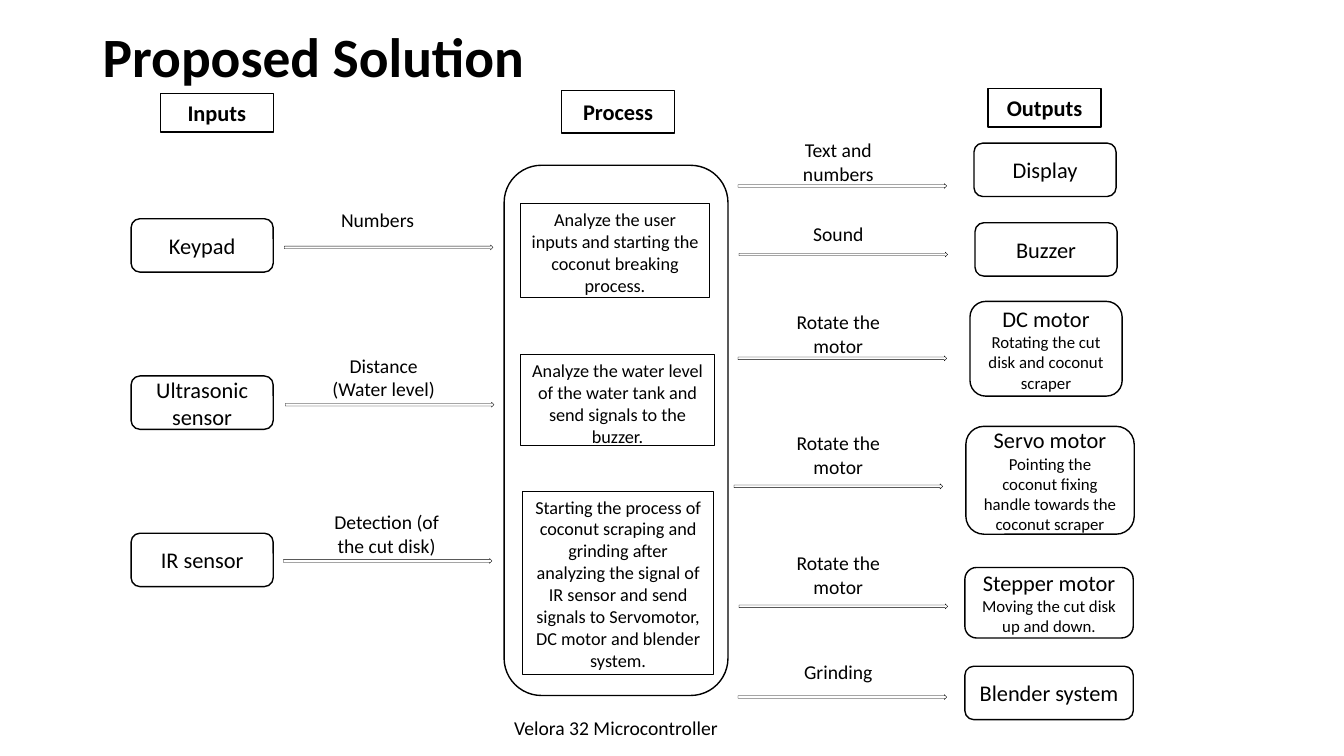
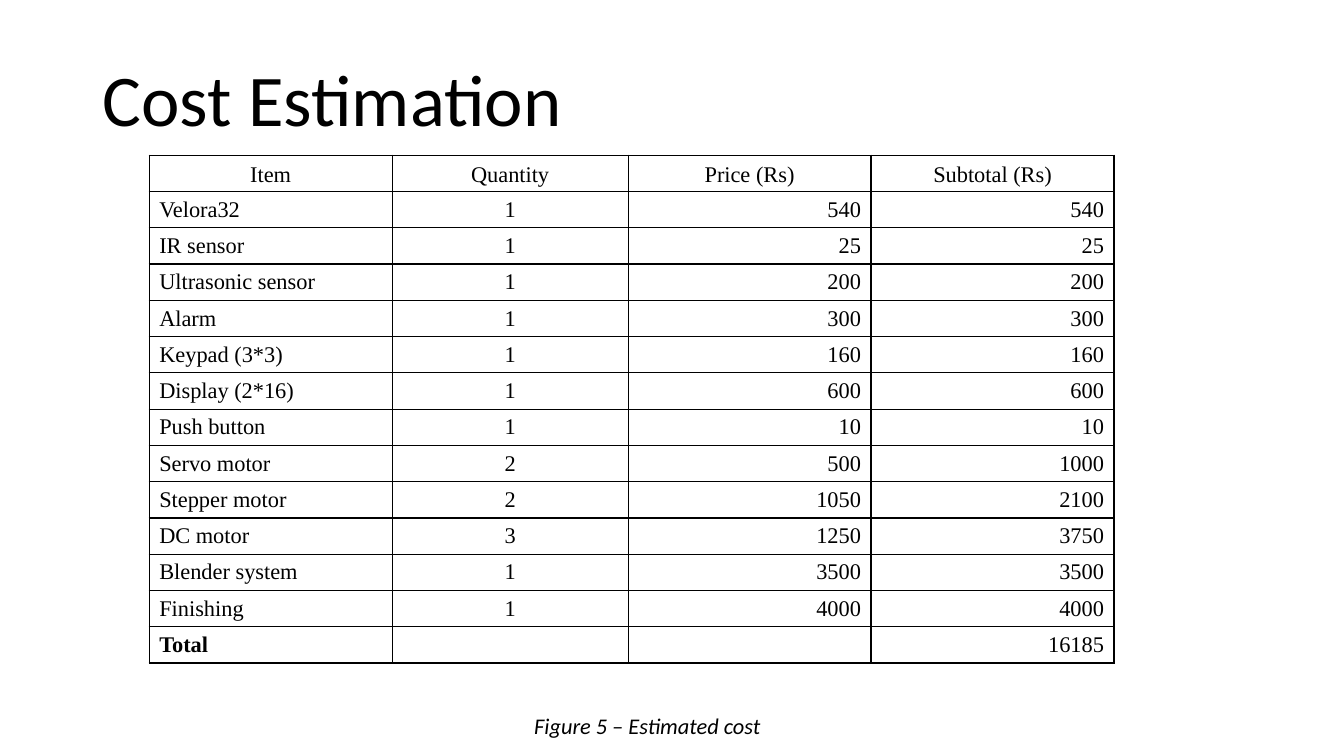
from lxml import etree
from pptx import Presentation, util as u
from pptx.dml.color import RGBColor
from pptx.enum import shapes, text
from pptx.oxml.ns import qn

PX = 9144  # EMU per px, 100 px to the inch
COLORS = {"ink": "000000", "paper": "FFFFFF"}
INK = RGBColor.from_string(COLORS["ink"])
PAPER = RGBColor.from_string(COLORS["paper"])
SANS, SERIF = "Calibri", "Times New Roman"
RECT = shapes.MSO_SHAPE.RECTANGLE
ROUND = shapes.MSO_SHAPE.ROUNDED_RECTANGLE
ARROW = shapes.MSO_SHAPE.RIGHT_ARROW
TOP, MIDDLE = text.MSO_ANCHOR.TOP, text.MSO_ANCHOR.MIDDLE
LEFT, CENTER, RIGHT = text.PP_ALIGN.LEFT, text.PP_ALIGN.CENTER, text.PP_ALIGN.RIGHT


def write(tf, lines, align=CENTER, anchor=MIDDLE, font=SANS, bold=False, italic=False, spacing=None):
    """Write (text, points) pairs into a text frame, one paragraph each."""
    tf.word_wrap = True
    tf.vertical_anchor = anchor
    for i, (words, size) in enumerate(lines):
        p = tf.add_paragraph() if i else tf.paragraphs[0]
        p.alignment = align
        if spacing:
            p.line_spacing = spacing
        r = p.add_run()
        r.text = words
        r.font.name, r.font.size = font, u.Pt(size)
        r.font.bold, r.font.italic = bold, italic
        r.font.color.rgb = INK


def place(s, at, kind=None, weight=1, lines=(), **style):
    """Add an outlined shape, or a plain text box when no kind is given."""
    at = [v * PX for v in at]
    if kind is None:
        sp = s.shapes.add_textbox(*at)
    else:
        sp = s.shapes.add_shape(kind, *at)
        sp.shadow.inherit = False
        sp.fill.solid()
        sp.fill.fore_color.rgb = PAPER
        sp.line.color.rgb = INK
        sp.line.width = u.Pt(weight)
    if lines:
        write(sp.text_frame, lines, **style)


prs = Presentation()
prs.slide_width, prs.slide_height = 1333 * PX, 750 * PX
blank = prs.slide_layouts[6]
title_style = dict(align=LEFT, spacing=0.9)

# Proposed solution
s = prs.slides.add_slide(blank)
place(s, (92, 36, 1150, 46), lines=[("Proposed Solution", 39.6)], bold=True, **title_style)

headings = [("Inputs", 159, 93, 38), ("Process", 557, 90, 42), ("Outputs", 980, 88, 38)]
for name, x, y, h in headings:
    place(s, (x, y, 112, h), RECT, lines=[(name, 16)], bold=True)

for i, name in enumerate(["Keypad", "Ultrasonic sensor", "IR sensor"]):
    place(s, (130, 217 + 156 * i, 141, 53), ROUND, lines=[(name, 16)])

place(s, (500, 164, 222, 526), ROUND)
steps = [
    ((516, 202, 188, 93), "Analyze the user inputs and starting the coconut breaking process."),
    ((516, 352, 193, 90), "Analyze the water level of the water tank and send signals to the buzzer."),
    ((518, 487, 190, 182), "Starting the process of coconut scraping and grinding after analyzing the signal "
                           "of IR sensor and send signals to Servomotor, DC motor and blender system."),
]
for at, step in steps:
    place(s, at, RECT, 0.5, [(step, 13)], anchor=TOP)
place(s, (485, 702, 252, 40), lines=[("Velora 32 Microcontroller", 14)])

outputs = [
    ((966, 142, 141, 53), "Display", None),
    ((967, 221, 141, 53), "Buzzer", None),
    ((962, 299, 151, 94), "DC motor", "Rotating the cut disk and coconut scraper"),
    ((958, 423, 167, 107), "Servo motor", "Pointing the coconut fixing handle towards the coconut scraper"),
    ((957, 563, 167, 70), "Stepper motor", "Moving the cut disk up and down."),
    ((957, 661, 167, 53), "Blender system", None),
]
for at, name, task in outputs:
    place(s, at, ROUND, lines=[(name, 16)] + ([(task, 12)] if task else []))

# label, label left and top, arrow left and top
signals = [
    ("Numbers", 311, 201, 282, 243),
    ("Distance (Water level)", 317, 346, 283, 399),
    ("Detection (of the cut disk)", 320, 501, 281, 554),
    ("Text and numbers", 768, 132, 732, 182),
    ("Sound", 768, 215, 733, 250),
    ("Rotate the motor", 768, 303, 732, 353),
    ("Rotate the motor", 768, 423, 728, 480),
    ("Rotate the motor", 768, 542, 733, 599),
    ("Grinding", 768, 650, 732, 689),
]
for label, x, y, arrow_x, arrow_y in signals:
    place(s, (x, y, 127, 49), lines=[(label, 14)], anchor=TOP)
    place(s, (arrow_x, arrow_y, 207, 5), ARROW, 0.25)

# Cost estimation
s = prs.slides.add_slide(blank)
place(s, (92, 20, 1150, 165), lines=[("Cost Estimation", 52)], **title_style)

costs = [
    ("Item", "Quantity", "Price (Rs)", "Subtotal (Rs)"),
    ("Velora32", "1", "540", "540"),
    ("IR sensor", "1", "25", "25"),
    ("Ultrasonic sensor", "1", "200", "200"),
    ("Alarm", "1", "300", "300"),
    ("Keypad (3*3)", "1", "160", "160"),
    ("Display (2*16)", "1", "600", "600"),
    ("Push button", "1", "10", "10"),
    ("Servo motor", "2", "500", "1000"),
    ("Stepper motor", "2", "1050", "2100"),
    ("DC motor", "3", "1250", "3750"),
    ("Blender system", "1", "3500", "3500"),
    ("Finishing", "1", "4000", "4000"),
    ("Total", "", "", "16185"),
]
widths = [241, 234, 241, 241]
aligns = [LEFT, CENTER, RIGHT, RIGHT]
row_h = 36
table = s.shapes.add_table(len(costs), len(widths), 148 * PX, 154 * PX,
                           sum(widths) * PX, row_h * len(costs) * PX).table
table.first_row = table.horz_banding = False
for col, w in zip(table.columns, widths):
    col.width = w * PX
for i, row in enumerate(costs):
    table.rows[i].height = row_h * PX
    for j, value in enumerate(row):
        cell = table.cell(i, j)
        if value:
            write(cell.text_frame, [(value, 16)], align=CENTER if i == 0 else aligns[j],
                  font=SERIF, bold=value == "Total", spacing=1.07)
        else:
            end = etree.SubElement(cell.text_frame.paragraphs[0]._p, qn("a:endParaRPr"))
            end.set("sz", "1600")
        cell.vertical_anchor = MIDDLE if i == 0 else TOP
        cell.margin_top, cell.margin_bottom = 4 * PX, 3 * PX
        tcPr = cell._tc.get_or_add_tcPr()
        for side in ("lnL", "lnR", "lnT", "lnB"):
            ln = etree.SubElement(tcPr, qn("a:" + side), w=str(u.Pt(1)))
            fill = etree.SubElement(ln, qn("a:solidFill"))
            etree.SubElement(fill, qn("a:srgbClr"), val=COLORS["ink"])
        cell.fill.background()

place(s, (520, 702, 254, 37), lines=[("Figure 5 – Estimated cost", 16)],
      align=LEFT, anchor=TOP, italic=True)

prs.save("out.pptx")
